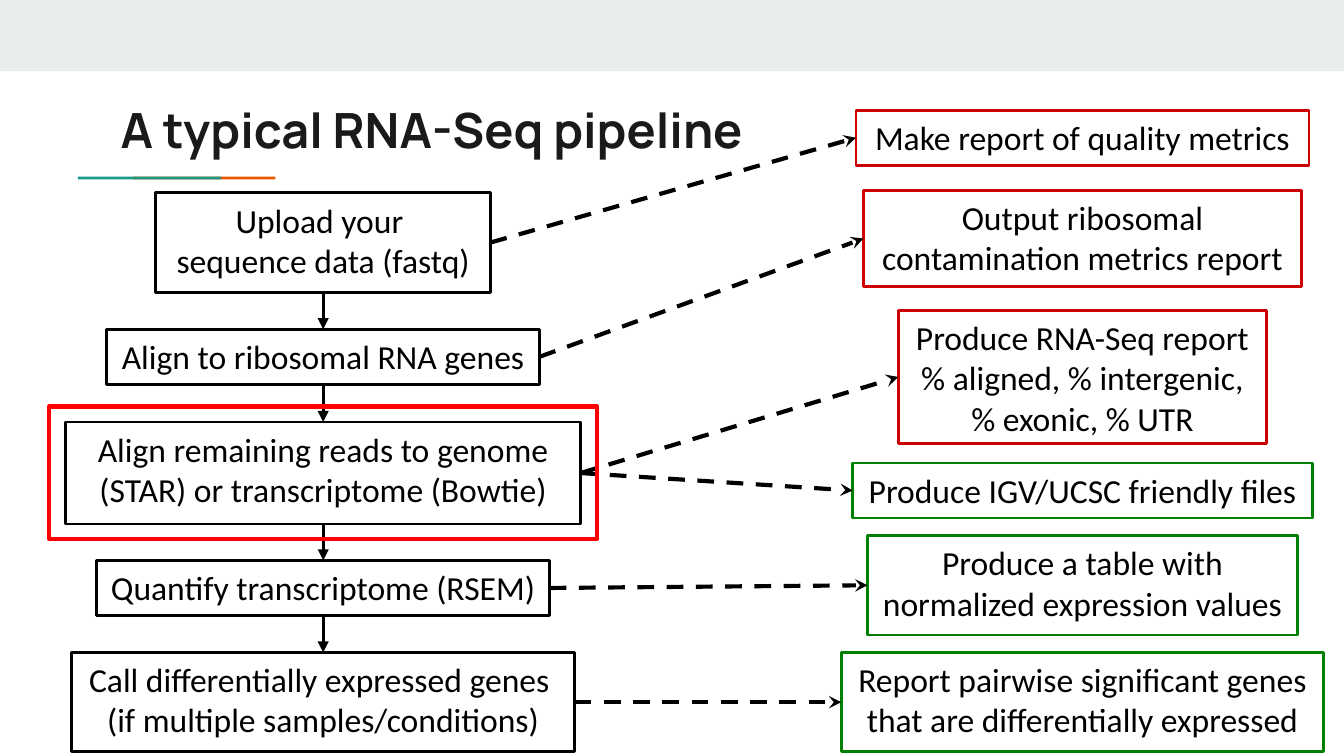
from lxml import etree
from pptx import Presentation
from pptx.dml.color import RGBColor
from pptx.enum.dml import MSO_LINE
from pptx.enum.shapes import MSO_CONNECTOR, MSO_SHAPE
from pptx.enum.text import MSO_ANCHOR, PP_ALIGN
from pptx.oxml.ns import qn
from pptx.util import Pt

RECTANGLE = MSO_SHAPE.RECTANGLE
STRAIGHT = MSO_CONNECTOR.STRAIGHT
DASH = MSO_LINE.DASH
TOP = MSO_ANCHOR.TOP
CENTER = PP_ALIGN.CENTER

EMU_PER_PX = 4572  # 200 px to the inch
BLACK, INK, CRIMSON, GREEN, RED = "000000", "1A1A1A", "CC0000", "008000", "FF0000"
TEAL, ORANGE, PALE = "1A9988", "EB5600", "E9EDEE"

# Connection sites of a rectangle
TOP_SITE, LEFT_SITE, BOTTOM_SITE, RIGHT_SITE = range(4)


def px(length):
    return length * EMU_PER_PX


def color(hex_string):
    return RGBColor.from_string(hex_string)


class PipelineSlide:
    body_font, body_size = "Calibri", 18
    title_font, title_size = "Manrope", 26

    def __init__(self, deck):
        self.shapes = deck.slides.add_slide(deck.slide_layouts[6]).shapes

    def rectangle(self, left, top, width, height):
        shape = self.shapes.add_shape(RECTANGLE, px(left), px(top), px(width), px(height))
        shape.shadow.inherit = False
        return shape

    def bar(self, left, top, width, height, fill):
        shape = self.rectangle(left, top, width, height)
        shape.fill.solid()
        shape.fill.fore_color.rgb = color(fill)
        shape.line.fill.background()

    def frame(self, left, top, width, height, outline, weight=1.5):
        shape = self.rectangle(left, top, width, height)
        shape.fill.background()
        shape.line.color.rgb = color(outline)
        shape.line.width = Pt(weight)
        return shape

    def title(self, text, left, top, width, height):
        frame = self.shapes.add_textbox(px(left), px(top), px(width), px(height)).text_frame
        frame.word_wrap = True
        frame.margin_left = frame.margin_right = px(20)
        frame.margin_top = frame.margin_bottom = px(20)
        frame.text = text
        self.style(frame.paragraphs[0], self.title_font, self.title_size, INK, bold=True)

    def box(self, center, top, width, height, text, outline):
        shape = self.frame(center - width // 2, top, width, height, outline)
        frame = shape.text_frame
        frame.word_wrap = True
        frame.vertical_anchor = TOP
        frame.margin_left = frame.margin_right = px(20)
        frame.margin_top = frame.margin_bottom = px(10)
        frame.text = text
        for para in frame.paragraphs:
            para.alignment = CENTER
            self.style(para, self.body_font, self.body_size, BLACK)
        return shape

    def style(self, para, font, size, ink, bold=False):
        para.font.name = font
        para.font.size = Pt(size)
        para.font.bold = bold
        para.font.color.rgb = color(ink)

    def arrow(self, source, source_site, target, target_site, weight, head, dash=None):
        connector = self.shapes.add_connector(STRAIGHT, 0, 0, 0, 0)
        connector.begin_connect(source, source_site)
        connector.end_connect(target, target_site)
        connector.line.color.rgb = color(BLACK)
        connector.line.width = Pt(weight)
        if dash:
            connector.line.dash_style = dash
        properties = connector._element.spPr
        etree.SubElement(properties.find(qn("a:ln")), qn("a:tailEnd"), type=head)
        etree.SubElement(properties, qn("a:effectLst"))


# Pipeline steps: top, width, height, text
STEP_CENTER = 481
STEPS = [
    (287, 498, 148, "Upload your \nsequence data (fastq)"),
    (490, 644, 82, "Align to ribosomal RNA genes"),
    (628, 766, 152, "Align remaining reads to genome (STAR) or transcriptome (Bowtie)"),
    (834, 674, 82, "Quantify transcriptome (RSEM)"),
    (971, 748, 148, "Call differentially expressed genes \n(if multiple samples/conditions)"),
]

# Reports: index of the source step, top, width, height, outline, text
REPORT_CENTER = 1611
REPORTS = [
    (0, 164, 674, 82, CRIMSON, "Make report of quality metrics"),
    (1, 283, 652, 144, CRIMSON, "Output ribosomal contamination metrics report"),
    (2, 462, 548, 198, CRIMSON,
     "Produce RNA-Seq report\n% aligned, % intergenic, % exonic, % UTR"),
    (2, 689, 684, 82, GREEN, "Produce IGV/UCSC friendly files"),
    (3, 797, 640, 148, GREEN, "Produce a table with normalized expression values"),
    (4, 971, 718, 148, GREEN,
     "Report pairwise significant genes that are differentially expressed"),
]


def main():
    deck = Presentation()
    deck.slide_width, deck.slide_height = px(2000), px(1125)
    page = PipelineSlide(deck)

    # Header band, accent rule and title
    page.bar(0, 0, 2000, 106, PALE)
    page.bar(198, 263, 212, 4, ORANGE)
    page.bar(116, 263, 213, 4, TEAL)
    page.title("A typical RNA-Seq pipeline", 160, 129, 974, 118)

    # Steps, joined from top to bottom
    steps = [page.box(STEP_CENTER, top, width, height, text, BLACK)
             for top, width, height, text in STEPS]
    for upper, lower in zip(steps, steps[1:]):
        page.arrow(upper, BOTTOM_SITE, lower, TOP_SITE, 1.5, "triangle")

    # Reports, each joined to its step
    for step, top, width, height, outline, text in REPORTS:
        report = page.box(REPORT_CENTER, top, width, height, text, outline)
        page.arrow(steps[step], RIGHT_SITE, report, LEFT_SITE, 2.25, "stealth", DASH)

    # Highlight around the genome alignment step
    page.frame(73, 605, 816, 197, RED, 2.25)

    deck.save("out.pptx")


if __name__ == "__main__":
    main()
